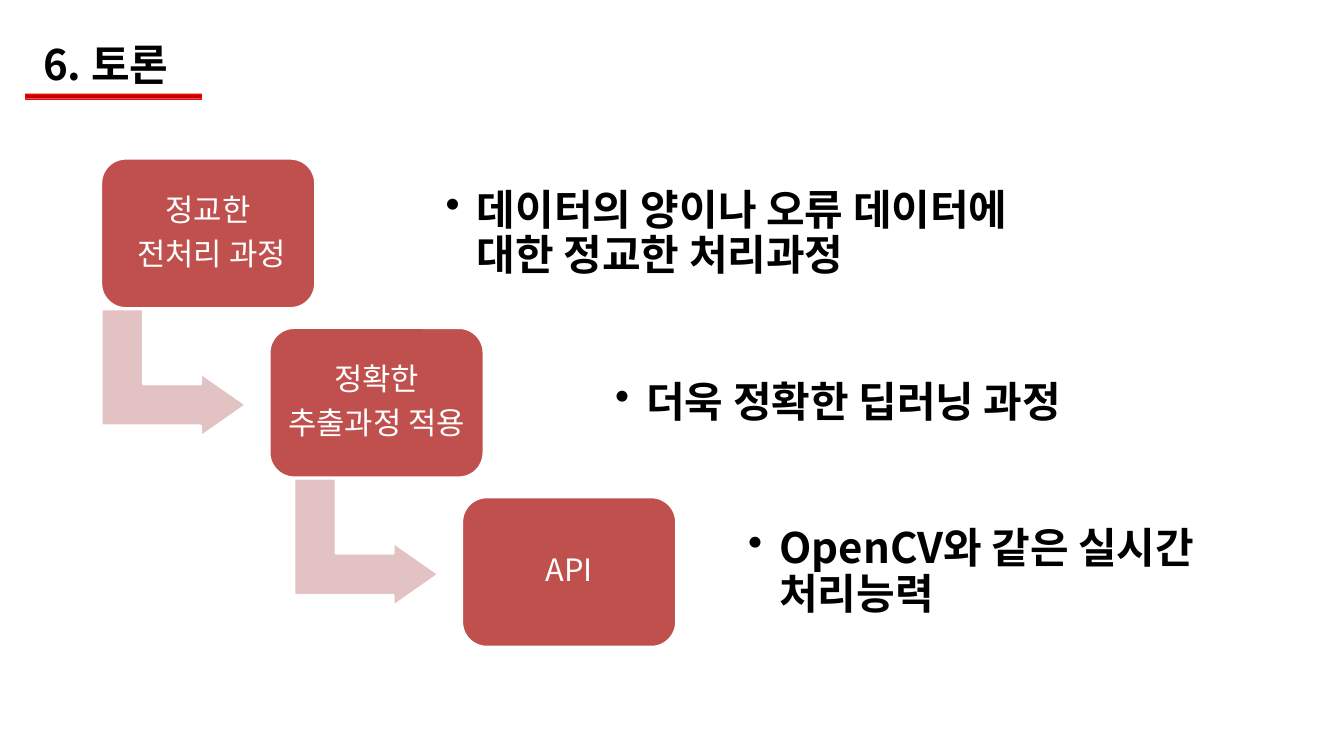
from dataclasses import dataclass
from lxml import etree
from pptx import Presentation
from pptx.dml.color import RGBColor
from pptx.enum.shapes import MSO_SHAPE
from pptx.enum.text import MSO_ANCHOR, PP_ALIGN
from pptx.oxml.ns import qn
from pptx.util import Inches, Pt


@dataclass(frozen=True)
class Theme:
    font: str = "Noto Sans CJK KR"
    black: str = "000000"
    white: str = "FFFFFF"
    card: str = "C0504D"
    arrow: str = "E2C2C2"
    rule: str = "C00000"
    rule_edge: str = "FF0000"
    heading_size: int = 30
    card_size: int = 22


THEME = Theme()
CARD_W, CARD_H = 2.13, 1.49
NOTE_H = 1.21
TOP, STEP = 1.57, 1.68

# Card left, card lines, note left, note width, note text
STAGES = [
    (1, ["정교한", " 전처리 과정"], 4.3, 6.45,
     "데이터의 양이나 오류 데이터에 대한 정교한 처리과정"),
    (2.67, ["정확한", "추출과정 적용"], 5.98, 5.52, "더욱 정확한 딥러닝 과정"),
    (4.58, ["API"], 7.3, 5.11, "OpenCV와 같은 실시간 처리능력"),
]


def write(tf, lines, size, color, bold=False, align=PP_ALIGN.LEFT,
          spacing=None, after=None, bullet=False, inset=None, anchor=MSO_ANCHOR.TOP):
    """Fill a text frame with one paragraph per line."""
    tf.word_wrap = True
    tf.vertical_anchor = anchor
    if inset is not None:
        tf.margin_left = tf.margin_right = Inches(inset)
        tf.margin_top = tf.margin_bottom = Inches(inset)
    for i, line in enumerate(lines):
        p = tf.add_paragraph() if i else tf.paragraphs[0]
        p.alignment = align
        if spacing:
            p.line_spacing = spacing
        if after:
            p.space_after = Pt(after)
        if bullet:
            pPr = p._p.get_or_add_pPr()
            pPr.set("marL", str(Inches(0.31)))
            pPr.set("indent", str(-Inches(0.31)))
            etree.SubElement(pPr, qn("a:buChar")).set("char", "•")
        r = p.add_run()
        r.text = line
        r.font.size = Pt(size)
        r.font.bold = bold
        r.font.name = THEME.font
        r.font.color.rgb = RGBColor.from_string(color)
        etree.SubElement(r._r.get_or_add_rPr(), qn("a:ea")).set("typeface", THEME.font)


class SlideBuilder:
    def __init__(self, prs, theme):
        self.theme = theme
        self.slide = prs.slides.add_slide(prs.slide_layouts[6])

    def shape(self, kind, x, y, w, h, fill, line, line_width):
        sp = self.slide.shapes.add_shape(kind, Inches(x), Inches(y), Inches(w), Inches(h))
        sp.shadow.inherit = False
        sp.fill.solid()
        sp.fill.fore_color.rgb = RGBColor.from_string(fill)
        sp.line.color.rgb = RGBColor.from_string(line)
        sp.line.width = Pt(line_width)
        return sp

    def title(self, text):
        t = self.theme
        self.shape(MSO_SHAPE.RECTANGLE, 0.25, 0.93, 1.75, 0.05, t.rule, t.rule_edge, 0.25)
        box = self.slide.shapes.add_textbox(Inches(0.33), Inches(0.33),
                                            Inches(6.83), Inches(0.61))
        write(box.text_frame, [text], t.heading_size, t.black, bold=True)

    def card(self, x, y, lines):
        t = self.theme
        sp = self.shape(MSO_SHAPE.ROUNDED_RECTANGLE, x, y, CARD_W, CARD_H,
                        t.card, t.white, 2)
        write(sp.text_frame, lines, t.card_size, t.white, align=PP_ALIGN.CENTER,
              spacing=0.9, after=7.7, inset=0.09, anchor=MSO_ANCHOR.MIDDLE)

    def note(self, x, y, w, text):
        t = self.theme
        sp = self.shape(MSO_SHAPE.RECTANGLE, x, y, w, NOTE_H, t.white, t.white, 0.75)
        write(sp.text_frame, [text], t.heading_size, t.black, bold=True, spacing=0.9,
              after=4.5, bullet=True, inset=0.12, anchor=MSO_ANCHOR.MIDDLE)

    def arrow(self, x, y):
        t = self.theme
        sp = self.shape(MSO_SHAPE.BENT_UP_ARROW, x, y, 1.27, 1.44, t.arrow, t.white, 2)
        sp.rotation = 90
        for i, value in enumerate((0.328, 0.25, 0.358)):
            sp.adjustments[i] = value


def main():
    prs = Presentation()
    prs.slide_width, prs.slide_height = Inches(13.33), Inches(7.5)
    page = SlideBuilder(prs, THEME)

    # Heading with its red rule
    page.title("6. 토론")

    # Descending steps, each arrow leading into the next card
    for i, (x, lines, note_x, note_w, note) in enumerate(STAGES):
        y = TOP + i * STEP
        if i < len(STAGES) - 1:
            page.arrow(STAGES[i + 1][0] - 1.58, y + STEP - 0.27)
        page.card(x, y, lines)
        page.note(note_x, y + 0.15, note_w, note)

    prs.save("out.pptx")


if __name__ == "__main__":
    main()
